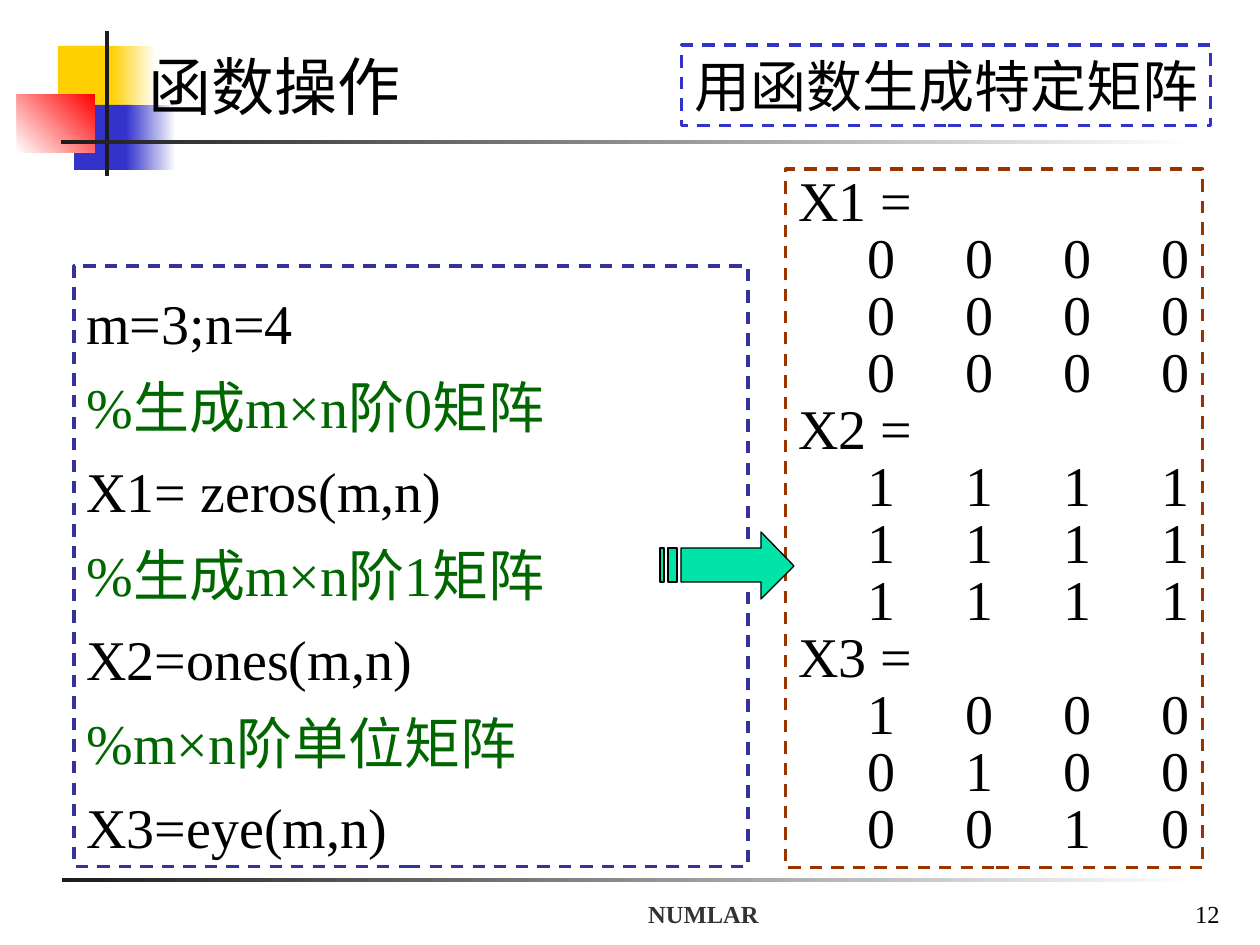
from lxml import etree
from pptx import Presentation
from pptx.dml.color import RGBColor
from pptx.enum.dml import MSO_LINE
from pptx.enum.shapes import MSO_SHAPE
from pptx.enum.text import MSO_ANCHOR, PP_ALIGN
from pptx.oxml.ns import qn
from pptx.util import Emu, Pt

RECT = MSO_SHAPE.RECTANGLE
DASH = MSO_LINE.DASH
TOP, MIDDLE, BOTTOM = MSO_ANCHOR.TOP, MSO_ANCHOR.MIDDLE, MSO_ANCHOR.BOTTOM
LEFT, CENTER, RIGHT = PP_ALIGN.LEFT, PP_ALIGN.CENTER, PP_ALIGN.RIGHT

PX = 914400 // 126
SERIF, SANS, CJK = "Times New Roman", "Karla", "Noto Sans CJK SC"
COLORS = {
    "black": "000000", "white": "FFFFFF", "ink": "1C1C1C", "gray": "333333",
    "yellow": "FFCF01", "blue": "3333CC", "red": "FF0000", "green": "006600",
    "navy": "333399", "brown": "993300", "mint": "00E4A8",
}

# Content
TITLE = "函数操作"
BADGE = "用函数生成特定矩阵"
CODE = [
    "m=3;n=4",
    "%生成m×n阶0矩阵",
    "X1= zeros(m,n)",
    "%生成m×n阶1矩阵",
    "X2=ones(m,n)",
    "%m×n阶单位矩阵",
    "X3=eye(m,n)",
]
MATRICES = {
    "X1 =": ["0000", "0000", "0000"],
    "X2 =": ["1111", "1111", "1111"],
    "X3 =": ["1000", "0100", "0010"],
}
FOOTER, PAGE_NUMBER = "NUMLAR", "12"

# Decoration: box in px, colours (two make a gradient), gradient angle
DECOR = [
    ((58, 46, 60, 66), ("yellow",), 0),
    ((111, 46, 45, 66), ("yellow", "white"), 0),
    ((74, 105, 58, 65), ("blue",), 0),
    ((126, 105, 50, 65), ("blue", "white"), 0),
    ((17, 94, 78, 59), ("white", "red"), 45),
    ((105, 31, 4, 145), ("ink",), 0),
    ((61, 140, 1134, 4), ("ink", "white"), 0),
    ((62, 878, 1134, 4), ("ink", "white"), 0),
]
ARROW_HEAD = [(761, 532), (761, 548), (681, 548), (681, 582),
              (761, 582), (761, 599), (794, 566)]
ARROW_STRIPES = [(668, 677), (660, 664)]
COLUMN_GAP = 98


def rgb(name):
    return RGBColor.from_string(COLORS[name])


def emu(values):
    return [Emu(value * PX) for value in values]


def add_decor(page, area, names, angle):
    shape = page.shapes.add_shape(RECT, *emu(area))
    shape.shadow.inherit = False
    shape.line.fill.background()
    if len(names) == 1:
        shape.fill.solid()
        shape.fill.fore_color.rgb = rgb(names[0])
        return
    shape.fill.gradient()
    shape.fill.gradient_angle = angle
    for stop, name in zip(shape.fill.gradient_stops, names):
        stop.color.rgb = rgb(name)


def add_box(page, area, line=None, fill=None, anchor=TOP):
    box = page.shapes.add_textbox(*emu(area))
    box.text_frame.word_wrap = True
    box.text_frame.vertical_anchor = anchor
    if line:
        box.line.color.rgb = rgb(line)
        box.line.width = Pt(1.75)
        box.line.dash_style = DASH
    if fill:
        box.fill.solid()
        box.fill.fore_color.rgb = rgb(fill)
    return box


def add_para(box, text, size, font=SERIF, color="black", bold=False,
             align=LEFT, spacing=None, tabs=()):
    frame = box.text_frame
    para = frame.paragraphs[0]
    if para.runs:
        para = frame.add_paragraph()
    para.alignment = align
    if spacing:
        para.line_spacing = Pt(spacing)
    if tabs:
        tab_list = etree.SubElement(para._p.get_or_add_pPr(), qn("a:tabLst"))
        for position in tabs:
            etree.SubElement(tab_list, qn("a:tab"), pos=str(position * PX), algn="r")
    span = para.add_run()
    span.text = text
    span.font.size = Pt(size)
    span.font.name = font
    span.font.bold = bold
    span.font.color.rgb = rgb(color)
    etree.SubElement(span._r.get_or_add_rPr(), qn("a:ea"), typeface=CJK)


def add_arrow(page):
    top, bottom = ARROW_HEAD[1][1], ARROW_HEAD[3][1]
    stripes = [[(left, top), (left, bottom), (right, bottom), (right, top)]
               for left, right in ARROW_STRIPES]
    builder = page.shapes.build_freeform(*ARROW_HEAD[0], scale=PX)
    builder.add_line_segments(ARROW_HEAD[1:], close=True)
    for stripe in stripes:
        builder.move_to(*stripe[0])
        builder.add_line_segments(stripe[1:], close=True)
    arrow = builder.convert_to_shape()
    arrow.shadow.inherit = False
    arrow.fill.solid()
    arrow.fill.fore_color.rgb = rgb("mint")
    arrow.line.color.rgb = rgb("black")
    arrow.line.width = Pt(0.75)


def main():
    deck = Presentation()
    deck.slide_width, deck.slide_height = emu((1260, 945))
    page = deck.slides.add_slide(deck.slide_layouts[5])

    # Background decoration and footer
    for area, names, angle in DECOR:
        add_decor(page, area, names, angle)
    footer = add_box(page, (504, 872, 399, 63), anchor=BOTTOM)
    add_para(footer, FOOTER, 14, color="gray", bold=True, align=CENTER)
    number = add_box(page, (970, 872, 262, 63), anchor=BOTTOM)
    add_para(number, PAGE_NUMBER, 14, align=RIGHT)

    # Code
    code = add_box(page, (74, 266, 674, 601), line="navy")
    for text in CODE:
        color = "green" if text.startswith("%") else "black"
        add_para(code, text, 32, color=color, spacing=48)

    # Resulting matrices, digits right-aligned on tab stops
    result = add_box(page, (786, 169, 417, 699), line="brown", fill="white")
    result.text_frame.margin_right = 0
    columns = [97 + COLUMN_GAP * index for index in range(4)]
    for name, rows in MATRICES.items():
        add_para(result, name, 32, spacing=32.6)
        for row in rows:
            text = "".join("\t" + digit for digit in row)
            add_para(result, text, 32, spacing=32.6, tabs=columns)

    # Title, in front of the decoration
    title = page.shapes.title
    page.shapes._spTree.append(title._element)
    title.left, title.top, title.width, title.height = emu((136, 41, 1092, 88))
    title.text_frame.vertical_anchor = TOP
    add_para(title, TITLE, 36, font=CJK)

    # Topic badge on one line, and arrow
    badge = add_box(page, (682, 45, 529, 81), line="blue", fill="white",
                    anchor=MIDDLE)
    badge.text_frame.margin_right = 0
    add_para(badge, BADGE, 32, font=SANS)
    add_arrow(page)

    deck.save("out.pptx")


if __name__ == "__main__":
    main()
